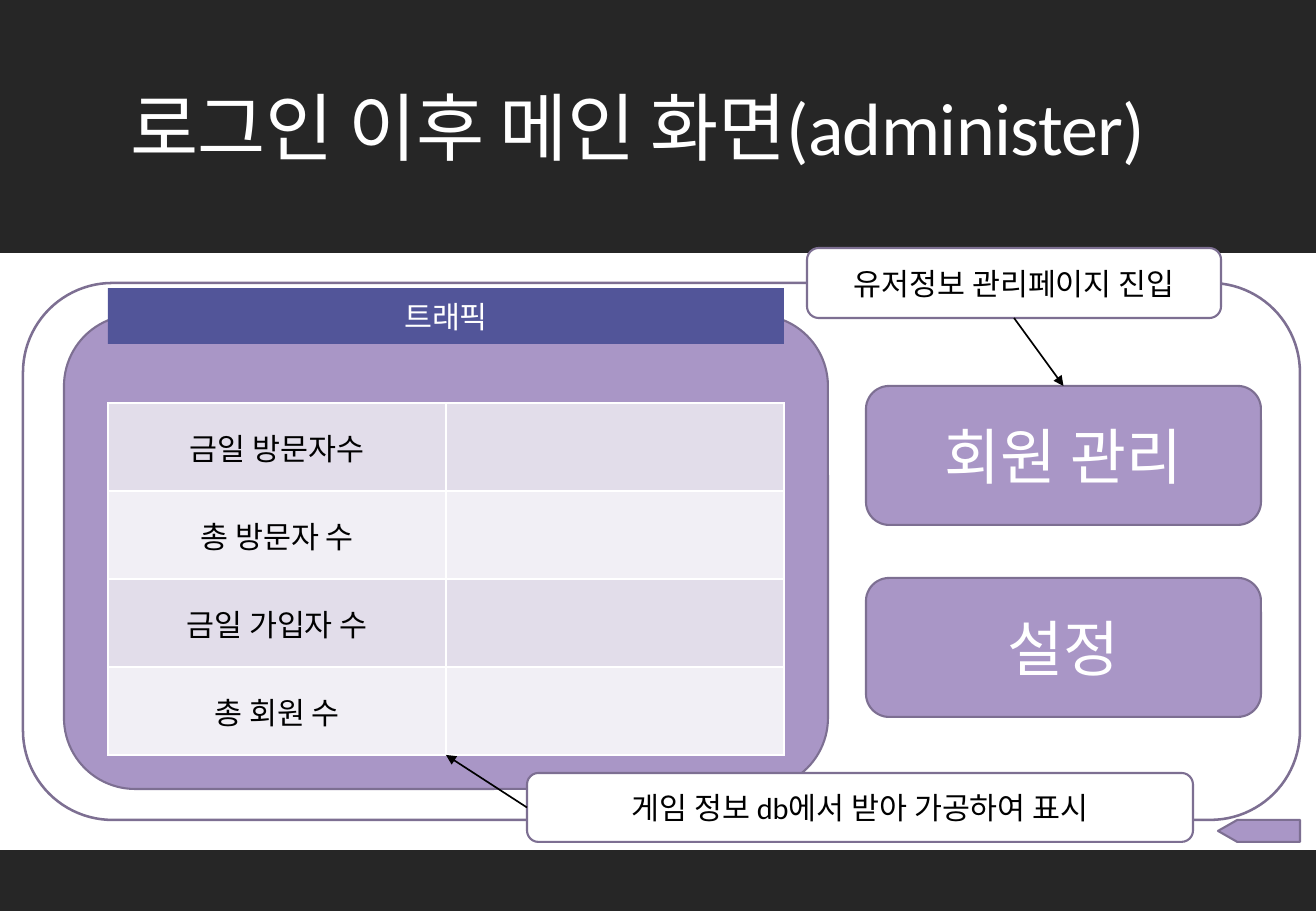
"""Build the administrator main-screen slide with its traffic table and callouts."""
from dataclasses import dataclass
from typing import Optional

import lxml.etree
import pptx
import pptx.dml.color
import pptx.enum.shapes
import pptx.enum.text
import pptx.oxml
import pptx.oxml.ns
import pptx.util

RGBColor = pptx.dml.color.RGBColor
Shape = pptx.enum.shapes.MSO_SHAPE
Align = pptx.enum.text.PP_ALIGN
Anchor = pptx.enum.text.MSO_ANCHOR
qn = pptx.oxml.ns.qn

WHITE = RGBColor(0xFF, 0xFF, 0xFF)
BLACK = RGBColor(0x00, 0x00, 0x00)
CHARCOAL = RGBColor(0x26, 0x26, 0x26)
LILAC = RGBColor(0xA9, 0x96, 0xC6)
OUTLINE = RGBColor(0x7D, 0x6F, 0x92)
INDIGO = RGBColor(0x52, 0x55, 0x99)
BANDS = (RGBColor(0xE2, 0xDD, 0xEA), RGBColor(0xF1, 0xEF, 0xF5))

FONT = "Calibri"
EMU_PER_PIXEL = 914400 / 121.5
SLIDE_WIDTH, SLIDE_HEIGHT = 1316, 911
TABLE_LEFT, TABLE_TOP, COLUMN_WIDTH, ROW_HEIGHT = 108, 403, 338, 88
ROW_LABELS = ("금일 방문자수", "총 방문자 수", "금일 가입자 수", "총 회원 수")
TOP_SITE, LEFT_SITE, BOTTOM_SITE = 0, 1, 2


@dataclass(frozen=True)
class Box:
    """A preset shape measured in pixels, with optional text."""
    left: int
    top: int
    width: int
    height: int
    fill: Optional[RGBColor] = None
    line: Optional[RGBColor] = None
    line_width: float = 1.25
    preset: Shape = Shape.ROUNDED_RECTANGLE
    adjustments: tuple[float, ...] = ()
    text: str = ""
    size: float = 18
    color: RGBColor = WHITE


HEADER_BAND = Box(0, 0, SLIDE_WIDTH, 253, CHARCOAL, preset=Shape.RECTANGLE)
FOOTER_BAND = Box(0, 850, SLIDE_WIDTH, 61, CHARCOAL, preset=Shape.RECTANGLE)
SCREEN_FRAME = Box(23, 283, 1277, 537, line=OUTLINE, line_width=1.5)
TRAFFIC_PANEL = Box(64, 315, 764, 474, LILAC, OUTLINE, adjustments=(0.15,))
TRAFFIC_HEADING = Box(TABLE_LEFT, 288, 2 * COLUMN_WIDTH, 56, INDIGO,
                      preset=Shape.RECTANGLE, text="트래픽")
MEMBER_BUTTON = Box(866, 386, 395, 139, LILAC, OUTLINE, text="회원 관리", size=36)
SETTINGS_BUTTON = Box(866, 578, 395, 139, LILAC, OUTLINE, text="설정", size=36)
BACK_ARROW = Box(1218, 820, 82, 22, LILAC, OUTLINE, preset=Shape.LEFT_ARROW,
                 adjustments=(1, 0.88))
MEMBER_CALLOUT = Box(807, 248, 414, 70, WHITE, OUTLINE,
                     text="유저정보 관리페이지 진입", color=BLACK)
DATABASE_CALLOUT = Box(527, 773, 666, 69, WHITE, OUTLINE,
                       text="게임 정보 db에서 받아 가공하여 표시", color=BLACK)


def px(pixels: float) -> pptx.util.Emu:
    """Turn pixels into EMU."""
    return pptx.util.Emu(round(pixels * EMU_PER_PIXEL))


def write_text(text_frame, text: str, size: float, color: RGBColor,
               alignment: Align = Align.CENTER) -> None:
    """Write one formatted paragraph into a text frame."""
    text_frame.text = text
    paragraph = text_frame.paragraphs[0]
    paragraph.alignment = alignment
    paragraph.font.name = FONT
    paragraph.font.size = pptx.util.Pt(size)
    paragraph.font.color.rgb = color


def draw_box(slide, box: Box):
    """Draw a box and return its shape."""
    shape = slide.shapes.add_shape(
        box.preset, px(box.left), px(box.top), px(box.width), px(box.height))
    shape.shadow.inherit = False
    for index, value in enumerate(box.adjustments):
        shape.adjustments[index] = value
    if box.fill is None:
        shape.fill.background()
    else:
        shape.fill.solid()
        shape.fill.fore_color.rgb = box.fill
    if box.line is None:
        shape.line.fill.background()
    else:
        shape.line.color.rgb = box.line
        shape.line.width = pptx.util.Pt(box.line_width)
    if box.text:
        shape.text_frame.vertical_anchor = Anchor.MIDDLE
        write_text(shape.text_frame, box.text, box.size, box.color)
    return shape


def draw_title(slide) -> None:
    """Fill the title placeholder and lift it above the bands."""
    title = slide.shapes.title
    title.left, title.top, title.width, title.height = map(px, (118, 38, 1086, 193))
    text_frame = title.text_frame
    write_text(text_frame, "로그인 이후 메인 화면(administer)", 43.9, WHITE, Align.LEFT)
    text_frame.vertical_anchor = Anchor.MIDDLE
    text_frame.auto_size = pptx.enum.text.MSO_AUTO_SIZE.NONE
    paragraph = text_frame.paragraphs[0]
    paragraph.line_spacing = 0.8
    paragraph.runs[0]._r.get_or_add_rPr().set("spc", "-40")
    slide.shapes._spTree.append(title._element)


def draw_arrow(slide, source, site: int, end: tuple[int, int]):
    """Draw an arrow from a connection site of a shape to a point."""
    connector = slide.shapes.add_connector(
        pptx.enum.shapes.MSO_CONNECTOR.STRAIGHT, 0, 0, px(end[0]), px(end[1]))
    connector.begin_connect(source, site)
    connector.line.color.rgb = BLACK
    connector.line.width = pptx.util.Pt(1)
    line = connector.line._get_or_add_ln()
    lxml.etree.SubElement(line, qn("a:tailEnd"), type="triangle")
    lxml.etree.SubElement(connector._element.spPr, qn("a:effectLst"))
    return connector


def border_cell(cell) -> None:
    """Give a cell thin white borders on all sides."""
    properties = cell._tc.get_or_add_tcPr()
    for index, side in enumerate(("lnL", "lnR", "lnT", "lnB")):
        border = pptx.oxml.parse_xml(
            f'<a:{side} {pptx.oxml.ns.nsdecls("a")} w="12700"><a:solidFill>'
            f'<a:srgbClr val="{WHITE}"/></a:solidFill></a:{side}>')
        properties.insert(index, border)


def draw_traffic_table(slide) -> None:
    """Draw the banded table with labels and empty value cells."""
    row_count = len(ROW_LABELS)
    table = slide.shapes.add_table(
        row_count, 2, px(TABLE_LEFT), px(TABLE_TOP),
        px(2 * COLUMN_WIDTH), px(row_count * ROW_HEIGHT)).table
    table.first_row = False
    table.horz_banding = False
    for row_index, label in enumerate(ROW_LABELS):
        for column_index, text in enumerate((label, "")):
            cell = table.cell(row_index, column_index)
            cell.fill.solid()
            cell.fill.fore_color.rgb = BANDS[row_index % 2]
            cell.vertical_anchor = Anchor.MIDDLE
            border_cell(cell)
            write_text(cell.text_frame, text, 18, BLACK)


def main() -> None:
    """Build and save the presentation."""
    presentation = pptx.Presentation()
    presentation.slide_width = px(SLIDE_WIDTH)
    presentation.slide_height = px(SLIDE_HEIGHT)
    slide = presentation.slides.add_slide(presentation.slide_layouts[5])

    for band in (HEADER_BAND, FOOTER_BAND):
        draw_box(slide, band)
    draw_title(slide)
    for box in (SCREEN_FRAME, TRAFFIC_PANEL, TRAFFIC_HEADING, SETTINGS_BUTTON, BACK_ARROW):
        draw_box(slide, box)

    member_button = draw_box(slide, MEMBER_BUTTON)
    member_callout = draw_box(slide, MEMBER_CALLOUT)
    button_top = (MEMBER_BUTTON.left + MEMBER_BUTTON.width // 2, MEMBER_BUTTON.top)
    member_arrow = draw_arrow(slide, member_callout, BOTTOM_SITE, button_top)
    member_arrow.end_connect(member_button, TOP_SITE)

    draw_traffic_table(slide)
    database_callout = draw_box(slide, DATABASE_CALLOUT)
    table_bottom = TABLE_TOP + len(ROW_LABELS) * ROW_HEIGHT
    draw_arrow(slide, database_callout, LEFT_SITE,
               (TABLE_LEFT + COLUMN_WIDTH, table_bottom))
    presentation.save("out.pptx")


main()
